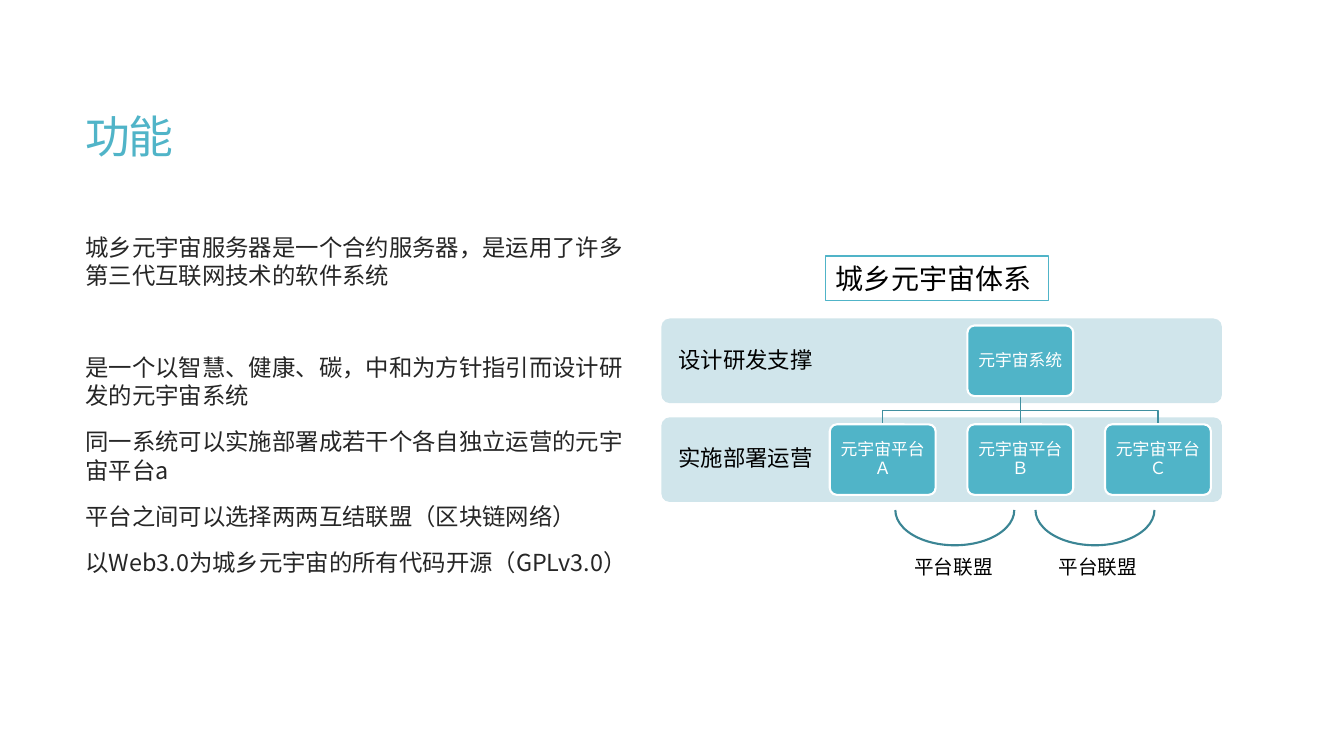
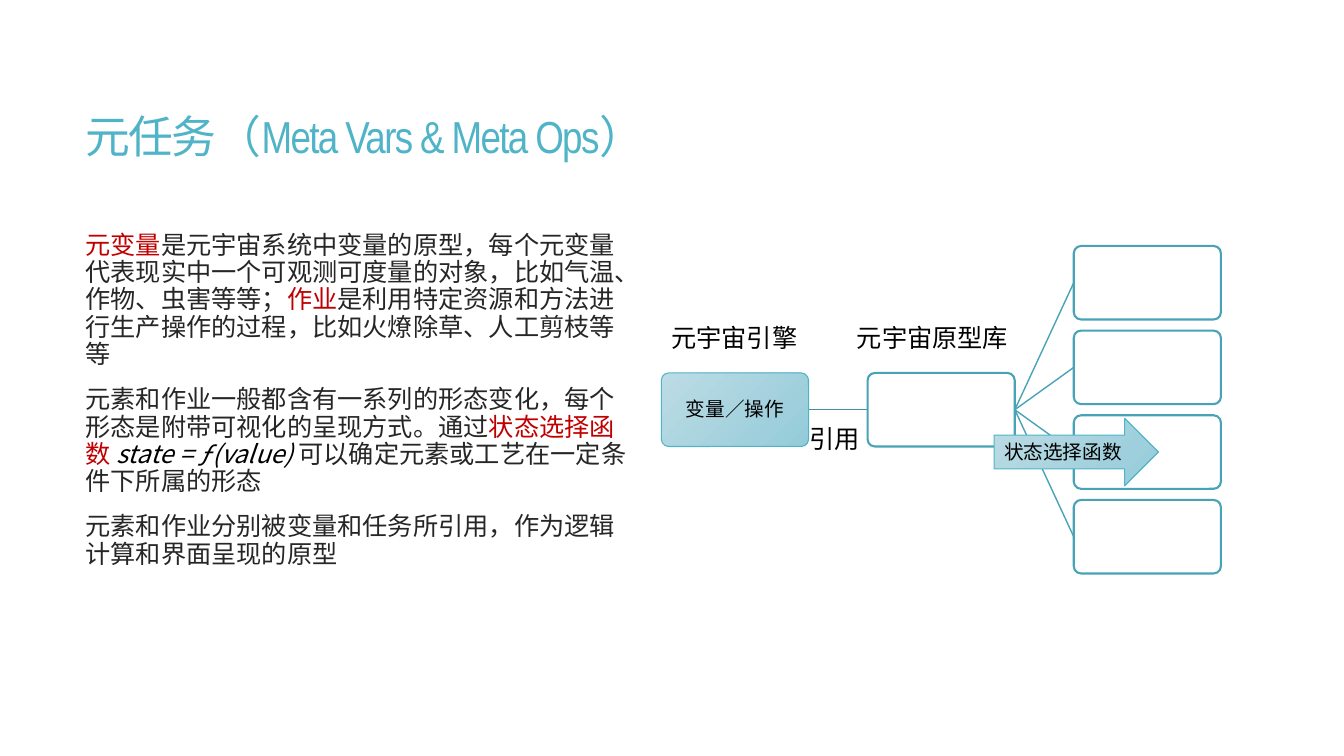
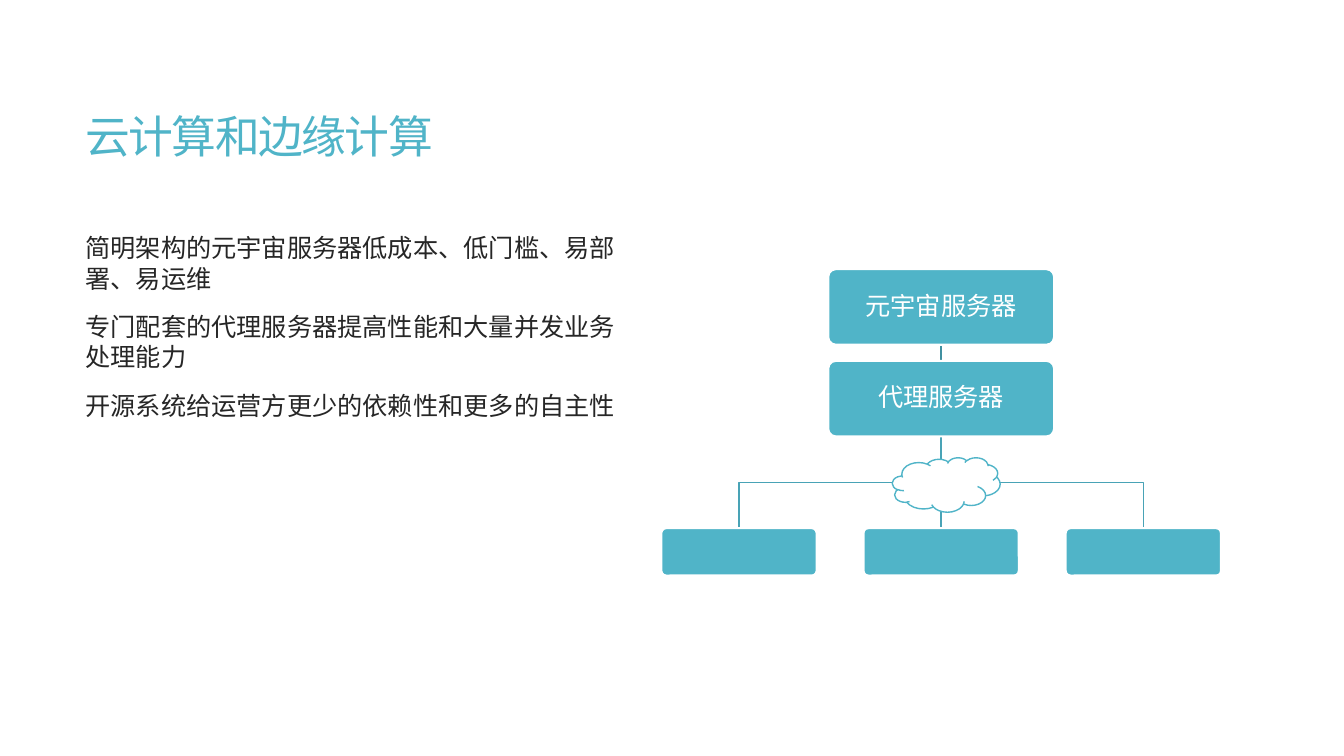
import lxml.etree
import pptx
import pptx.dml.color
import pptx.enum.shapes
import pptx.enum.text
import pptx.oxml.ns
import pptx.util

Inches = pptx.util.Inches
Pt = pptx.util.Pt
SHAPE = pptx.enum.shapes.MSO_SHAPE
ALIGN = pptx.enum.text.PP_ALIGN
qn = pptx.oxml.ns.qn

FONT, TITLE_LATIN = "Noto Sans CJK SC", "Arial Narrow"
TEAL, TEAL_EDGE, TEAL_LINE, TEAL_ARC = "50B4C8", "49A3B6", "4090A0", "3B8594"
BAND, GRADIENT = "D0E5EB", ("BDDCE5", "94CBD9")
WHITE, BLACK, INK, RED = "FFFFFF", "000000", "262626", "C00000"
DIAGRAM_X, DIAGRAM_Y, DIAGRAM_W = 6.56, 2.26, 5.55


def rgb(value):
    return pptx.dml.color.RGBColor.from_string(value)


def spread(start, width, size, count):
    """Starts of equal parts that fill a width with equal gaps."""
    return [start + i * (width - size) / (count - 1) for i in range(count)]


def add_run(p, text, size, color, font=FONT, italic=False):
    r = p.add_run()
    r.text = text
    r.font.size = Pt(size)
    r.font.name = font
    r.font.italic = italic
    r.font.color.rgb = rgb(color)
    ea = lxml.etree.SubElement(r._r.get_or_add_rPr(), qn("a:ea"))
    ea.set("typeface", FONT)
    return r


def set_text(sp, text, size, color=BLACK, align=ALIGN.CENTER, inset=0.05, spacing=0.9):
    """Write lines of text, centred vertically in the shape."""
    tf = sp.text_frame
    tf.word_wrap = True
    tf.vertical_anchor = pptx.enum.text.MSO_ANCHOR.MIDDLE
    tf.margin_left = tf.margin_right = Inches(inset)
    tf.margin_top = tf.margin_bottom = 0
    p = tf.paragraphs[0]
    p.alignment = align
    p.line_spacing = spacing
    for i, line in enumerate(text.split("\n")):
        if i:
            p.add_line_break()
        add_run(p, line, size, color)


def add_label(s, x, y, w, h, text, size, align=ALIGN.LEFT, spacing=1.0):
    sp = s.shapes.add_textbox(Inches(x), Inches(y), Inches(w), Inches(h))
    set_text(sp, text, size, align=align, inset=0.1, spacing=spacing)


def add_box(s, x, y, w, h, fill=TEAL, line=WHITE, weight=1.5, kind=SHAPE.ROUNDED_RECTANGLE):
    """Add a preset shape; a pair of fill colours makes a diagonal gradient."""
    sp = s.shapes.add_shape(kind, Inches(x), Inches(y), Inches(w), Inches(h))
    sp.shadow.inherit = False
    if kind == SHAPE.ROUNDED_RECTANGLE:
        sp.adjustments[0] = 0.1
    if fill is None:
        sp.fill.background()
    elif isinstance(fill, tuple):
        sp.fill.gradient()
        sp.fill.gradient_angle = 315
        for stop, color in zip(sp.fill.gradient_stops, fill):
            stop.color.rgb = rgb(color)
    else:
        sp.fill.solid()
        sp.fill.fore_color.rgb = rgb(fill)
    if line is None:
        sp.line.fill.background()
    else:
        sp.line.color.rgb = rgb(line)
        sp.line.width = Pt(weight)
    return sp


def add_line(s, x1, y1, x2, y2, color=TEAL_LINE):
    c = s.shapes.add_connector(pptx.enum.shapes.MSO_CONNECTOR.STRAIGHT,
                               Inches(x1), Inches(y1), Inches(x2), Inches(y2))
    c.line.color.rgb = rgb(color)
    c.line.width = Pt(1)
    lxml.etree.SubElement(c._element.spPr, qn("a:effectLst"))


def add_branch(s, x1, y1, x2, y2, color=TEAL_LINE):
    """Link a parent to a child below it, turning halfway down."""
    if abs(x1 - x2) < 0.01:
        add_line(s, x1, y1, x1, y2, color)
        return
    mid = (y1 + y2) / 2
    fb = s.shapes.build_freeform(Inches(x1), Inches(y1))
    fb.add_line_segments([(Inches(x), Inches(y)) for x, y in ((x1, mid), (x2, mid), (x2, y2))],
                         close=False)
    sp = fb.convert_to_shape()
    sp.shadow.inherit = False
    sp.fill.background()
    sp.line.color.rgb = rgb(color)
    sp.line.width = Pt(1)


def add_title(s, *parts):
    """Each part is a text and its font."""
    sp = s.shapes.add_textbox(Inches(0.75), Inches(0.75), Inches(11.37), Inches(1.27))
    tf = sp.text_frame
    tf.word_wrap = True
    tf.vertical_anchor = pptx.enum.text.MSO_ANCHOR.MIDDLE
    p = tf.paragraphs[0]
    p.line_spacing = 0.85
    for text, font in parts:
        r = add_run(p, text, 32, TEAL, font)
        r._r.get_or_add_rPr().set("spc", "-120")


def add_body(s, paragraphs, size, spacing=1.0, gaps=None):
    """Paragraphs are lists of (text, colour, italic); gaps override space before."""
    sp = s.shapes.add_textbox(Inches(0.75), Inches(2.26), Inches(5.57), Inches(3.62))
    tf = sp.text_frame
    tf.word_wrap = True
    for i, runs in enumerate(paragraphs):
        p = tf.add_paragraph() if i else tf.paragraphs[0]
        p.line_spacing = spacing
        p.space_before = Pt((gaps or {}).get(i, 13) if i else 0)
        for text, color, italic in runs:
            add_run(p, text, size, color, italic=italic)


def plain(*texts):
    return [[(text, INK, False)] for text in texts]


def draw_platform_tree(s, x, y):
    card_w, card_h = 1.05, 0.7
    system_y, platform_y = y + 0.97, y + 1.95
    cards_x = spread(x + 1.67, 3.78, card_w, 3)
    root_x = cards_x[1] + card_w / 2

    for band_y, text in ((y + 0.9, "设计研发支撑"), (y + 1.88, "实施部署运营")):
        add_box(s, x, band_y, 5.56, 0.84, BAND, None)
        add_label(s, x, band_y, 1.67, 0.84, text, 16, ALIGN.CENTER, 0.9)
    for card_x in cards_x:
        add_branch(s, root_x, system_y + card_h, card_x + card_w / 2, platform_y)
    set_text(add_box(s, cards_x[1], system_y, card_w, card_h), "元宇宙系统", 12, WHITE)
    for card_x, letter in zip(cards_x, "ＡＢＣ"):
        set_text(add_box(s, card_x, platform_y, card_w, card_h), "元宇宙平台\n" + letter, 12, WHITE)

    heading = add_box(s, x + 1.63, y + 0.28, 2.21, 0.44, WHITE, TEAL, 1, SHAPE.RECTANGLE)
    set_text(heading, "城乡元宇宙体系", 20, align=ALIGN.LEFT, inset=0.1, spacing=1.0)
    for arc_x, label_x in ((2.32, 2.41), (3.71, 3.84)):
        arc = add_box(s, x + arc_x, y + 2.45, 1.18, 0.7, None, TEAL_ARC, 1.5, SHAPE.ARC)
        arc.adjustments[0], arc.adjustments[1] = 0, 108
        add_label(s, x + label_x, y + 3.19, 1.22, 0.34, "平台联盟", 14)


def draw_prototype_tree(s, x, y):
    node_w, node_h = 1.46, 0.73
    engine_x, library_x, state_x = spread(x, DIAGRAM_W, node_w, 3)
    node_y = y + 1.44
    mid_y = node_y + node_h / 2
    states_y = spread(y + 0.18, 3.25, node_h, 4)

    add_line(s, engine_x + node_w, mid_y, library_x, mid_y)
    for state_y in states_y:
        add_line(s, library_x + node_w, mid_y, state_x, state_y + node_h / 2, TEAL_EDGE)
    engine = add_box(s, engine_x, node_y, node_w, node_h, GRADIENT, TEAL, 0.75)
    set_text(engine, "变量／操作", 14)
    for node_x, top in [(library_x, node_y)] + [(state_x, state_y) for state_y in states_y]:
        add_box(s, node_x, top, node_w, node_h, WHITE, TEAL_EDGE)

    selector = add_box(s, x + 3.3, y + 1.89, 1.63, 0.67, GRADIENT, TEAL, 0.75, SHAPE.RIGHT_ARROW)
    set_text(selector, "状态选择函数", 14, align=ALIGN.LEFT, inset=0.1, spacing=1.0)
    for dx, dy, w, text in ((1.37, 1.89, 0.8, "引用"),
                            (1.84, 0.89, 1.87, "元宇宙原型库"),
                            (0, 0.89, 1.61, "元宇宙引擎")):
        add_label(s, x + dx, y + dy, w, 0.4, text, 18)


def draw_server_tree(s, x, y):
    server_w, server_h = 2.24, 0.75
    edge_w, edge_h = 1.54, 0.47
    center_x = x + DIAGRAM_W / 2
    server_y, proxy_y, edge_y = y + 0.41, y + 1.32, y + 2.98
    edges_x = spread(x, DIAGRAM_W, edge_w, 3)

    add_line(s, center_x, server_y + server_h, center_x, proxy_y)
    for edge_x in edges_x:
        add_branch(s, center_x, proxy_y + server_h, edge_x + edge_w / 2, edge_y, TEAL_EDGE)
    for top, text in ((server_y, "元宇宙服务器"), (proxy_y, "代理服务器")):
        server = add_box(s, center_x - server_w / 2, top, server_w, server_h)
        set_text(server, text, 18, WHITE)
    for edge_x in edges_x:
        add_box(s, edge_x, edge_y, edge_w, edge_h)
    add_box(s, x + 2.29, y + 2.28, 1.07, 0.54, WHITE, TEAL, 1, SHAPE.CLOUD)


def build_function_slide(s):
    add_title(s, ("功能", FONT))
    add_body(s, plain("城乡元宇宙服务器是一个合约服务器，是运用了许多第三代互联网技术的软件系统",
                      "是一个以智慧、健康、碳，中和为方针指引而设计研发的元宇宙系统",
                      "同一系统可以实施部署成若干个各自独立运营的元宇宙平台a",
                      "平台之间可以选择两两互结联盟（区块链网络）",
                      "以Web3.0为城乡元宇宙的所有代码开源（GPLv3.0）"),
             16.7, gaps={1: 46})
    draw_platform_tree(s, DIAGRAM_X, DIAGRAM_Y)


def build_task_slide(s):
    add_title(s, ("元任务", FONT), ("（Meta Vars & Meta Ops）", TITLE_LATIN))
    add_body(s, [
        [("元变量", RED, False),
         ("是元宇宙系统中变量的原型，每个元变量代表现实中一个可观测可度量的对象，"
          "比如气温、作物、虫害等等；", INK, False),
         ("作业", RED, False),
         ("是利用特定资源和方法进行生产操作的过程，比如火燎除草、人工剪枝等等", INK, False)],
        [("元素和作业一般都含有一系列的形态变化，每个形态是附带可视化的呈现方式。通过", INK, False),
         ("状态选择函数 ", RED, False),
         ("state = ƒ(value) ", BLACK, True),
         ("可以确定元素或工艺在一定条件下所属的形态", INK, False)],
        *plain("元素和作业分别被变量和任务所引用，作为逻辑计算和界面呈现的原型"),
    ], 18, 0.9)
    draw_prototype_tree(s, DIAGRAM_X, DIAGRAM_Y)


def build_computing_slide(s):
    add_title(s, ("云计算和边缘计算", FONT))
    add_body(s, plain("简明架构的元宇宙服务器低成本、低门槛、易部署、易运维",
                      "专门配套的代理服务器提高性能和大量并发业务处理能力",
                      "开源系统给运营方更少的依赖性和更多的自主性"), 18)
    draw_server_tree(s, DIAGRAM_X, DIAGRAM_Y)


def main():
    prs = pptx.Presentation()
    prs.slide_width, prs.slide_height = Inches(13.33), Inches(7.5)
    for build in (build_function_slide, build_task_slide, build_computing_slide):
        build(prs.slides.add_slide(prs.slide_layouts[6]))
    prs.save("out.pptx")


if __name__ == "__main__":
    main()
